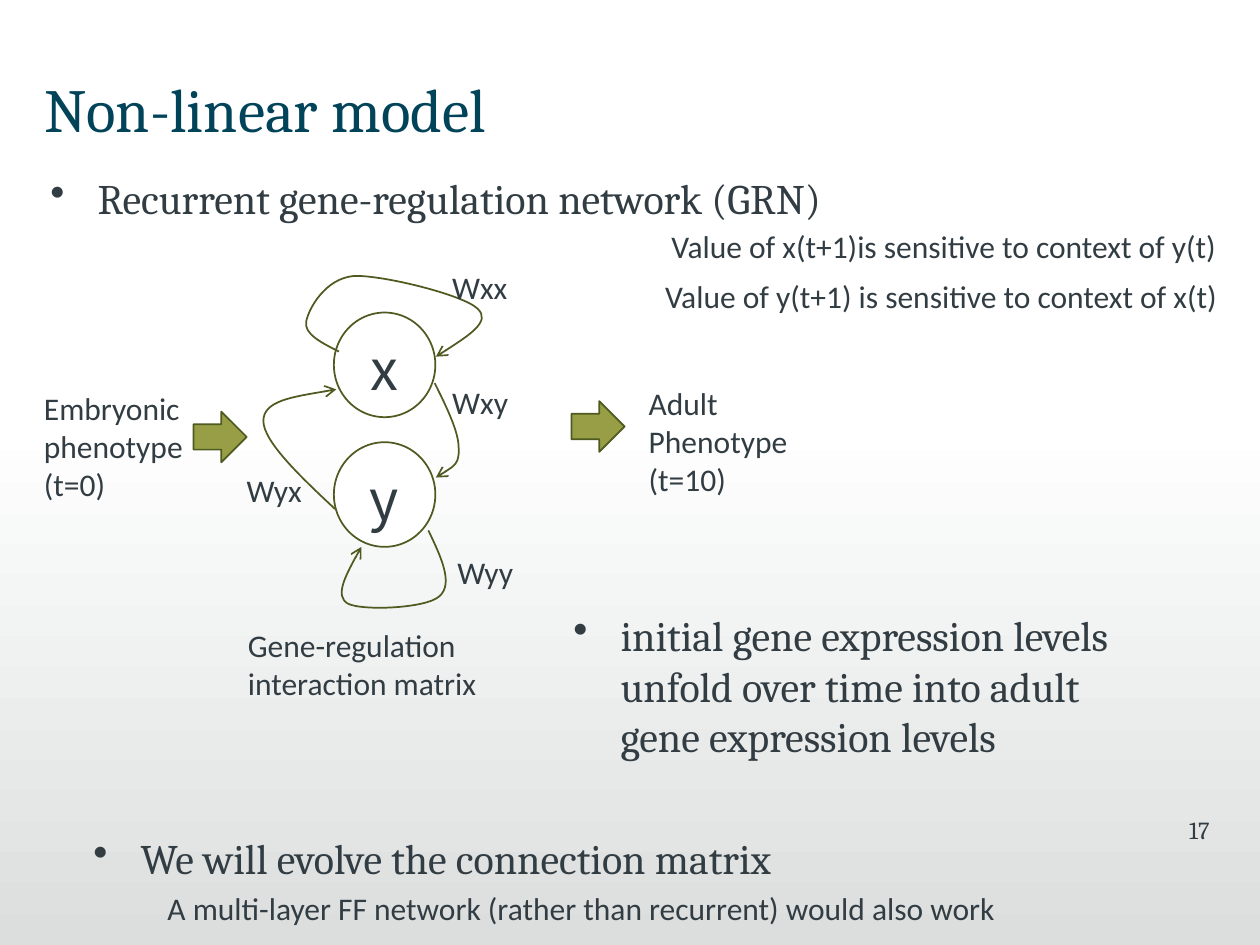
from pptx import Presentation
from pptx import util as u
from pptx.dml.color import RGBColor
from pptx.enum import shapes, text
from pptx.oxml import ns
from lxml import etree

Pt = u.Pt
INK, EDGE = "323D43", "4F5A20"
KIND = shapes.MSO_SHAPE


def rgb(code):
    return RGBColor.from_string(code)


def write(shape, lines, size, font, color=INK, align=None, pads=(7.2, 3.6, 7.2, 3.6),
          wrap=True, dot=False):
    frame = shape.text_frame
    frame.word_wrap = wrap
    frame.margin_left, frame.margin_top, frame.margin_right, frame.margin_bottom = map(Pt, pads)
    for i, line in enumerate(lines):
        para = frame.add_paragraph() if i else frame.paragraphs[0]
        para.alignment = align
        if dot:
            props = para._p.get_or_add_pPr()
            props.set("marL", str(Pt(27)))
            props.set("indent", str(Pt(-27)))
            etree.SubElement(props, ns.qn("a:buChar")).set("char", "•")
        for j, part in enumerate(line.split("\n")):
            if j:
                para.add_line_break()
            run = para.add_run()
            run.text = part
            run.font.size = Pt(size)
            run.font.name = font
            run.font.color.rgb = rgb(color)


deck = Presentation()
deck.slide_width, deck.slide_height = Pt(720), Pt(540)
slide = deck.slides.add_slide(deck.slide_layouts[6])
slide.background.fill.solid()
slide.background.fill.fore_color.rgb = rgb("FFFFFF")
items = slide.shapes

shade = items.add_shape(KIND.RECTANGLE, 0, Pt(240), Pt(720), Pt(300))
shade.shadow.inherit = False
shade.line.fill.background()
shade.fill.gradient()
shade.fill.gradient_angle = 270
for stop, place, tone in zip(shade.fill.gradient_stops, (0, 1), ("FFFFFF", "DCDEDE")):
    stop.position = place
    stop.color.rgb = rgb(tone)

title = items.add_textbox(Pt(25.2), Pt(37.4), Pt(669), Pt(51))
write(title, ["Non-linear model"], 35, "Cambria", "014359", pads=(0, 3.6, 7.2, 3.6))

points = [
    (28.8, 95, 525, 324, "Recurrent gene-regulation network (GRN)"),
    (327.6, 344.9, 340.6, 158.4,
     "initial gene expression levels unfold over time into adult gene expression levels"),
    (53.3, 472.3, 620.6, 62, "We will evolve the connection matrix"),
]
for x, y, w, h, words in points:
    box = items.add_textbox(Pt(x), Pt(y), Pt(w), Pt(h))
    write(box, [words], 24, "Cambria", pads=(0, 3.6, 7.2, 3.6), dot=True)

page = items.add_textbox(Pt(541.4), Pt(462.2), Pt(149.8), Pt(36))
write(page, ["17"], 14, "Cambria", align=text.PP_ALIGN.RIGHT, pads=(7.2, 3.6, 0, 3.6))

forms = [
    (KIND.OVAL, 190.8, 178.6, 58, 59.8, "FFFFFF", "x"),
    (KIND.OVAL, 190.8, 252.7, 58, 59.8, "FFFFFF", "y"),
    (KIND.RIGHT_ARROW, 110.6, 235.2, 30.4, 29, "979E45", ""),
    (KIND.RIGHT_ARROW, 326.6, 229.2, 30.4, 29, "979E45", ""),
]
for kind, x, y, w, h, tone, name in forms:
    form = items.add_shape(kind, Pt(x), Pt(y), Pt(w), Pt(h))
    form.shadow.inherit = False
    form.fill.solid()
    form.fill.fore_color.rgb = rgb(tone)
    form.line.color.rgb = rgb(EDGE)
    form.line.width = Pt(1)
    if name:
        form.text_frame.vertical_anchor = text.MSO_ANCHOR.MIDDLE
        write(form, [name], 32, "Noto Sans CJK KR", align=text.PP_ALIGN.CENTER,
              pads=(7.2, 3.6, 7.2, 0))

curves = [
    ("headEnd", [(249.1, 203.8), (265, 193.7), (280.8, 183.6), (272.9, 176.4),
                 (265, 168.5), (218.2, 157), (202.3, 157.7), (185.8, 159.1),
                 (176.4, 176.4), (175, 183.6), (173.5, 190.8), (183.6, 195.8),
                 (193.7, 200.9)]),
    ("headEnd", [(192.2, 222.5), (171.4, 226.1), (150.5, 229), (150.5, 240.5),
                 (150.5, 252), (170.6, 271.4), (191.5, 290.9)]),
    ("tailEnd", [(248.4, 218.9), (255.6, 233.3), (262.1, 247), (262.1, 255.6),
                 (262.8, 265), (256.3, 268.6), (249.1, 272.9)]),
    ("tailEnd", [(244.8, 303.1), (252, 318.2), (259.2, 333.4), (251.3, 340.6),
                 (244.1, 347.8), (206.6, 349.2), (198.7, 344.9), (191.5, 340.6),
                 (198.7, 326.2), (206.6, 312.5)]),
]
for end, spots in curves:
    spots = [(Pt(x), Pt(y)) for x, y in spots]
    pen = items.build_freeform(*spots[0])
    pen.add_line_segments(spots[1:], close=False)
    curve = pen.convert_to_shape()
    curve.shadow.inherit = False
    curve.fill.background()
    curve.line.color.rgb = rgb(EDGE)
    curve.line.width = Pt(1)
    steps = list(curve._element.iter(ns.qn("a:lnTo")))
    for i in range(0, len(steps), 3):
        bend = etree.SubElement(steps[i].getparent(), ns.qn("a:cubicBezTo"))
        for step in steps[i:i + 3]:
            bend.append(step[0])
            step.getparent().remove(step)
    tip = etree.SubElement(curve.line._get_or_add_ln(), ns.qn("a:" + end))
    tip.set("type", "arrow")

labels = [
    (251.3, 215.3, 46.8, 29, False, ["Wxy"]),
    (251.3, 149.8, 46.1, 29, False, ["Wxx"]),
    (133.9, 265.7, 46.1, 29, False, ["Wyx"]),
    (254.2, 312.5, 46.8, 29, False, ["Wyy"]),
    (376.6, 126, 329.8, 29, False, ["Value of x(t+1)is sensitive to context of y(t)"]),
    (373, 154.8, 334, 29, False, ["Value of y(t+1) is sensitive to context of x(t)"]),
    (134.6, 354.2, 162.7, 51, True, ["Gene-regulation interaction matrix"]),
    (18, 218.9, 108.7, 72.7, True, ["Embryonic phenotype\n(t=0)"]),
    (363.6, 216, 108.7, 72.7, True, ["Adult\nPhenotype", "(t=10)"]),
    (88.6, 504.7, 493.2, 29, False,
     ["A multi-layer FF network (rather than recurrent) would also work"]),
]
for x, y, w, h, wrap, lines in labels:
    label = items.add_textbox(Pt(x), Pt(y), Pt(w), Pt(h))
    write(label, lines, 18, "Calibri", wrap=wrap)

deck.save("out.pptx")
